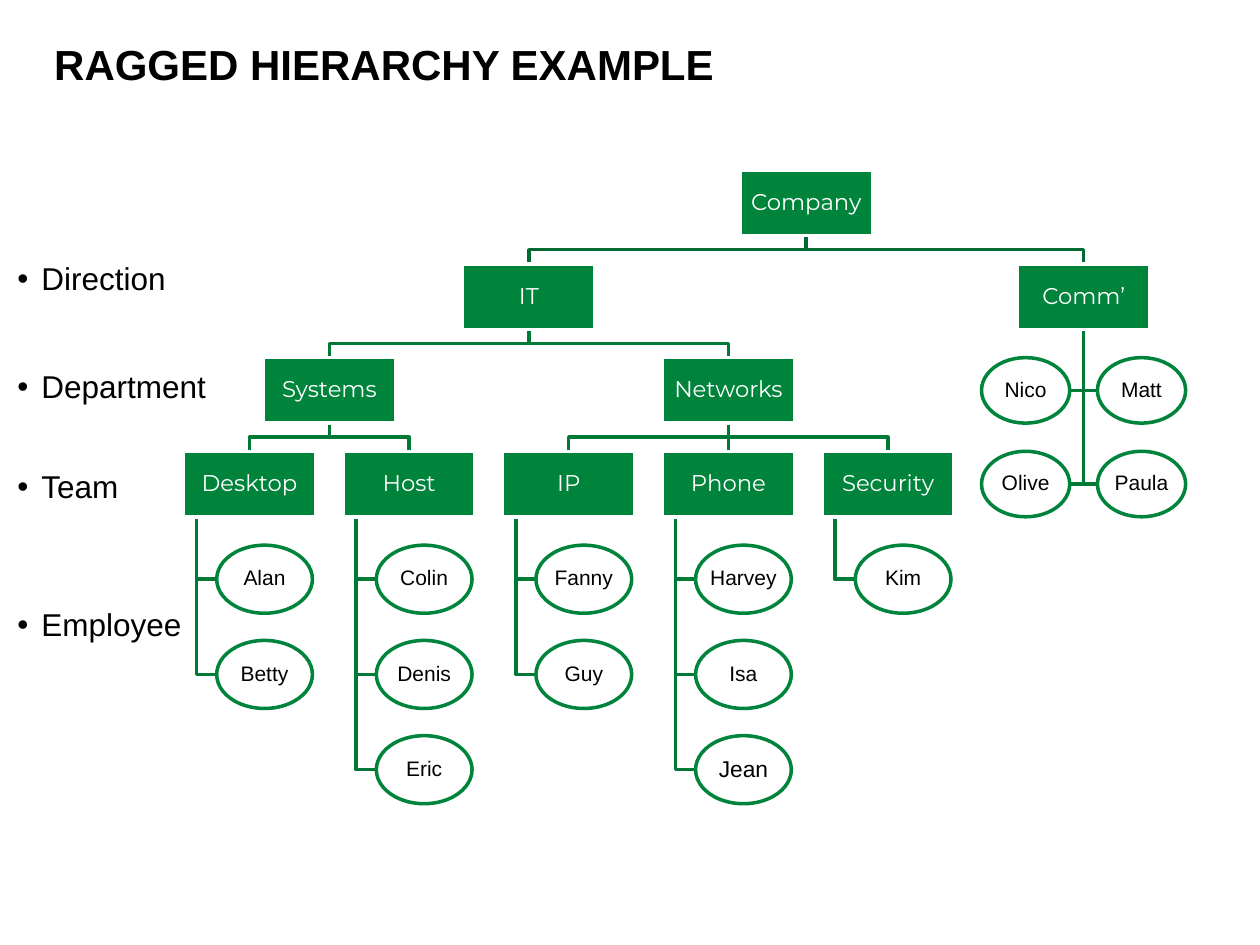
from dataclasses import dataclass, field
from typing import List, Sequence, Tuple

from lxml import etree
from pptx import Presentation
from pptx.dml.color import RGBColor
from pptx.enum import shapes, text
from pptx.oxml import ns
from pptx.util import Inches, Pt

GREEN = RGBColor(0x00, 0x84, 0x3C)
TOP_LINK = RGBColor(0x00, 0x6A, 0x30)
LINK = RGBColor(0x00, 0x78, 0x36)
WHITE = RGBColor(0xFF, 0xFF, 0xFF)
BLACK = RGBColor(0x00, 0x00, 0x00)

# Grid, in inches: units stand on columns and levels, staff hang below teams
FIRST_COLUMN, COLUMN_PITCH = 1.98, 1.267
FIRST_LEVEL, LEVEL_PITCH = 1.35, 0.744
UNIT_WIDTH, UNIT_HEIGHT = 1.05, 0.52
STAFF_WIDTH, STAFF_HEIGHT = 0.76, 0.54
STAFF_GAP, STAFF_PITCH = 0.225, 0.756
STAFF_SHIFT, TRUNK_SHIFT = 0.12, -0.42
PAIR_WIDTH, PAIR_SHIFT = 0.70, 0.46
LINE_WIDTH = Pt(2)

Point = Tuple[float, float]


@dataclass
class Unit:
    """A box of the hierarchy; a unit with children is centred over them."""
    name: str
    column: float = 0
    children: List["Unit"] = field(default_factory=list)
    staff: Sequence[str] = ()
    paired: bool = False

    @property
    def centre(self) -> float:
        if self.children:
            return (self.children[0].centre + self.children[-1].centre) / 2
        return FIRST_COLUMN + self.column * COLUMN_PITCH


@dataclass
class LevelLabel:
    name: str
    top: float
    width: float = 1.89


COMPANY = Unit("Company", children=[
    Unit("IT", children=[
        Unit("Systems", children=[
            Unit("Desktop", 0, staff=("Alan", "Betty")),
            Unit("Host", 1, staff=("Colin", "Denis", "Eric")),
        ]),
        Unit("Networks", children=[
            Unit("IP", 2, staff=("Fanny", "Guy")),
            Unit("Phone", 3, staff=("Harvey", "Isa", "Jean")),
            Unit("Security", 4, staff=("Kim",)),
        ]),
    ]),
    Unit("Comm’", 5.225, staff=("Nico", "Matt", "Olive", "Paula"), paired=True),
])
LEVEL_LABELS = [
    LevelLabel("Direction", 2.04, 1.67),
    LevelLabel("Department", 2.90),
    LevelLabel("Team", 3.69),
    LevelLabel("Employee", 4.79),
]


def level_top(level: int) -> float:
    return FIRST_LEVEL + level * LEVEL_PITCH


def add_run(paragraph, words: str, font: str, size: float, colour: RGBColor, bold=False) -> None:
    paragraph.line_spacing = 0.9
    run = paragraph.add_run()
    run.text = words
    run.font.name, run.font.size, run.font.bold = font, Pt(size), bold
    run.font.color.rgb = colour


def draw_node(slide, kind, centre: float, top: float, width: float, height: float, words: str,
              fill: RGBColor, line: RGBColor, font: str, size: float, colour: RGBColor) -> None:
    shape = slide.shapes.add_shape(
        kind, Inches(centre - width / 2), Inches(top), Inches(width), Inches(height))
    shape.shadow.inherit = False
    shape.fill.solid()
    shape.fill.fore_color.rgb = fill
    shape.line.color.rgb = line
    shape.line.width = LINE_WIDTH
    frame = shape.text_frame
    frame.margin_left = frame.margin_right = frame.margin_top = frame.margin_bottom = Inches(0.01)
    frame.word_wrap = False
    frame.vertical_anchor = text.MSO_ANCHOR.MIDDLE
    frame.paragraphs[0].alignment = text.PP_ALIGN.CENTER
    add_run(frame.paragraphs[0], words, font, size, colour)


def draw_unit(slide, unit: Unit, level: int) -> None:
    draw_node(slide, shapes.MSO_SHAPE.RECTANGLE, unit.centre, level_top(level),
              UNIT_WIDTH, UNIT_HEIGHT, unit.name, GREEN, WHITE, "Montserrat", 13, WHITE)


def draw_employee(slide, name: str, centre: float, top: float, width: float, height: float) -> None:
    size = 13 if name == "Jean" else 12
    draw_node(slide, shapes.MSO_SHAPE.OVAL, centre, top, width, height,
              name, WHITE, GREEN, "Arial", size, BLACK)


def draw_link(slide, points: Sequence[Point], colour: RGBColor) -> None:
    """Joins the points: a connector when they are in one column, else a bent line."""
    corners = [(Inches(x), Inches(y)) for x, y in points]
    if len({x for x, _ in corners}) == 1:
        link = slide.shapes.add_connector(
            shapes.MSO_CONNECTOR.STRAIGHT, *corners[0], *corners[-1])
        etree.SubElement(link.element.spPr, ns.qn("a:effectLst"))
    else:
        builder = slide.shapes.build_freeform(*corners[0])
        builder.add_line_segments(corners[1:], close=False)
        link = builder.convert_to_shape()
        link.shadow.inherit = False
        link.fill.background()
    link.line.color.rgb = colour
    link.line.width = LINE_WIDTH


def staff_places(unit: Unit, level: int) -> List[Tuple[str, float, float, float, float]]:
    """Name, centre, top, width and height of each employee of a unit."""
    if unit.paired:
        return [(name, unit.centre + (PAIR_SHIFT if i % 2 else -PAIR_SHIFT),
                 level_top(level + 1 + i // 2), PAIR_WIDTH, UNIT_HEIGHT)
                for i, name in enumerate(unit.staff)]
    first = level_top(level) + UNIT_HEIGHT + STAFF_GAP
    return [(name, unit.centre + STAFF_SHIFT, first + i * STAFF_PITCH, STAFF_WIDTH, STAFF_HEIGHT)
            for i, name in enumerate(unit.staff)]


def draw_links(slide, unit: Unit, level: int = 0) -> None:
    bottom = level_top(level) + UNIT_HEIGHT
    below = level_top(level + 1)
    middle = (bottom + below) / 2
    for child in unit.children:
        draw_link(slide, [(unit.centre, bottom), (unit.centre, middle),
                          (child.centre, middle), (child.centre, below)],
                  LINK if level else TOP_LINK)
        draw_links(slide, child, level + 1)
    trunk = unit.centre + (0 if unit.paired else TRUNK_SHIFT)
    for _, centre, top, width, height in staff_places(unit, level):
        side = centre - width / 2 if centre > trunk else centre + width / 2
        row = top + height / 2
        draw_link(slide, [(trunk, bottom), (trunk, row), (side, row)], LINK)


def draw_nodes(slide, unit: Unit, level: int = 0) -> None:
    draw_unit(slide, unit, level)
    for place in staff_places(unit, level):
        draw_employee(slide, *place)
    for child in unit.children:
        draw_nodes(slide, child, level + 1)


def draw_title(slide, words: str) -> None:
    title = slide.shapes.title
    title.left, title.top, title.width, title.height = map(Inches, (0.43, 0.35, 9.12, 0.44))
    frame = title.text_frame
    frame.margin_left = frame.margin_right = frame.margin_top = frame.margin_bottom = 0
    frame.vertical_anchor = text.MSO_ANCHOR.TOP
    frame.paragraphs[0].alignment = text.PP_ALIGN.LEFT
    add_run(frame.paragraphs[0], words, "Arial", 24, BLACK, bold=True)


def draw_level_label(slide, label: LevelLabel) -> None:
    box = slide.shapes.add_textbox(
        Inches(0.04), Inches(label.top), Inches(label.width), Inches(0.37))
    box.text_frame.word_wrap = True
    paragraph = box.text_frame.paragraphs[0]
    add_run(paragraph, label.name, "Arial", 18, BLACK)
    properties = paragraph._p.get_or_add_pPr()
    properties.set("marL", str(Inches(0.19)))
    properties.set("indent", str(Inches(-0.19)))
    etree.SubElement(properties, ns.qn("a:buFont")).set("typeface", "Arial")
    etree.SubElement(properties, ns.qn("a:buChar")).set("char", "•")


def main() -> None:
    presentation = Presentation()
    presentation.slide_width, presentation.slide_height = Inches(10), Inches(7.5)
    slide = presentation.slides.add_slide(presentation.slide_layouts.get_by_name("Title Only"))
    draw_title(slide, "RAGGED HIERARCHY EXAMPLE")
    draw_links(slide, COMPANY)
    draw_nodes(slide, COMPANY)
    for label in LEVEL_LABELS:
        draw_level_label(slide, label)
    presentation.save("out.pptx")


if __name__ == "__main__":
    main()
